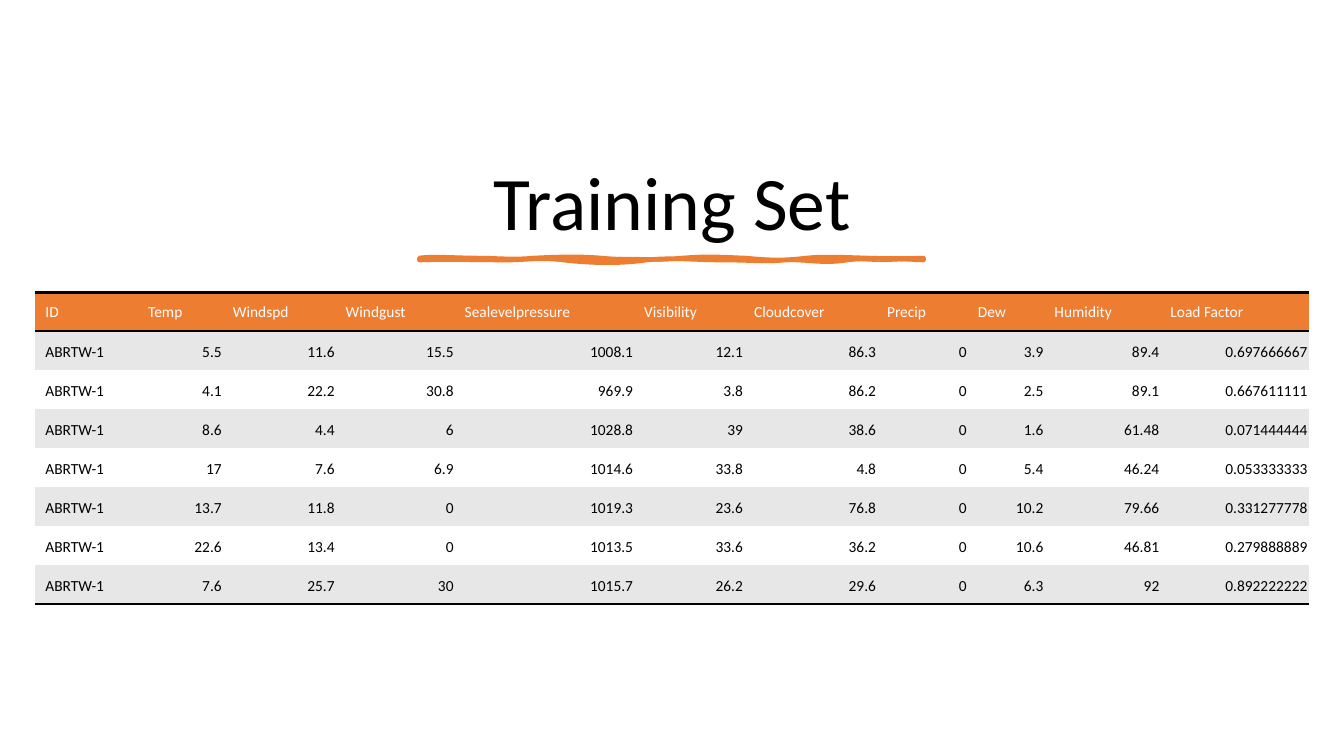
from dataclasses import dataclass

from pptx import Presentation
from pptx.dml.color import RGBColor
from pptx.enum.text import MSO_ANCHOR, PP_ALIGN
from pptx.oxml import parse_xml
from pptx.oxml.ns import nsdecls, qn
from pptx.util import Inches, Pt

LEFT, CENTER, RIGHT = PP_ALIGN.LEFT, PP_ALIGN.CENTER, PP_ALIGN.RIGHT
MIDDLE, BOTTOM = MSO_ANCHOR.MIDDLE, MSO_ANCHOR.BOTTOM
NO_GRID = "{2D5ABB26-0587-4C30-8999-92F81FD0307C}"

TITLE = "Training Set"
HEAD = ("ID", "Temp", "Windspd", "Windgust", "Sealevelpressure", "Visibility",
        "Cloudcover", "Precip", "Dew", "Humidity", "Load Factor")
UNIT = "ABRTW-1"
DATA = (
    ("5.5", "11.6", "15.5", "1008.1", "12.1", "86.3", "0", "3.9", "89.4", "0.697666667"),
    ("4.1", "22.2", "30.8", "969.9", "3.8", "86.2", "0", "2.5", "89.1", "0.667611111"),
    ("8.6", "4.4", "6", "1028.8", "39", "38.6", "0", "1.6", "61.48", "0.071444444"),
    ("17", "7.6", "6.9", "1014.6", "33.8", "4.8", "0", "5.4", "46.24", "0.053333333"),
    ("13.7", "11.8", "0", "1019.3", "23.6", "76.8", "0", "10.2", "79.66", "0.331277778"),
    ("22.6", "13.4", "0", "1013.5", "33.6", "36.2", "0", "10.6", "46.81", "0.279888889"),
    ("7.6", "25.7", "30", "1015.7", "26.2", "29.6", "0", "6.3", "92", "0.892222222"),
)
WIDTHS = (1.02, 0.84, 1.12, 1.18, 1.78, 1.09, 1.32, 0.9, 0.76, 1.15, 1.47)

START = (4.16, 2.56)
RIM = (
    (4.28, 2.54, 4.54, 2.56, 4.73, 2.56), (4.92, 2.56, 5.09, 2.58, 5.29, 2.56),
    (5.49, 2.55, 5.74, 2.54, 5.96, 2.56), (6.17, 2.58, 6.53, 2.58, 6.77, 2.56),
    (7.02, 2.54, 7.14, 2.55, 7.39, 2.56), (7.63, 2.58, 7.74, 2.59, 8, 2.56),
    (8.26, 2.53, 8.67, 2.58, 9.16, 2.56), (9.17, 2.57, 9.16, 2.57, 9.16, 2.58),
    (8.95, 2.57, 8.65, 2.55, 8.4, 2.58), (8.15, 2.62, 8.01, 2.57, 7.79, 2.58),
    (7.56, 2.6, 7.47, 2.58, 7.17, 2.58), (6.87, 2.58, 6.67, 2.55, 6.41, 2.58),
    (6.14, 2.62, 5.85, 2.61, 5.59, 2.58), (5.34, 2.55, 5.23, 2.58, 5.03, 2.58),
    (4.83, 2.58, 4.38, 2.57, 4.16, 2.58), (4.16, 2.58, 4.16, 2.57, 4.16, 2.56),
)
BODY = (
    (4.32, 2.55, 4.52, 2.55, 4.78, 2.56), (5.03, 2.58, 5.08, 2.58, 5.34, 2.56),
    (5.6, 2.54, 5.74, 2.59, 5.96, 2.56), (6.18, 2.54, 6.39, 2.55, 6.67, 2.56),
    (6.95, 2.58, 7.24, 2.54, 7.44, 2.56), (7.63, 2.59, 8.02, 2.55, 8.25, 2.56),
    (8.48, 2.58, 8.72, 2.6, 9.16, 2.56), (9.16, 2.57, 9.16, 2.58, 9.16, 2.58),
    (8.79, 2.6, 8.76, 2.61, 8.4, 2.58), (8.04, 2.56, 7.96, 2.58, 7.59, 2.58),
    (7.21, 2.58, 7.16, 2.54, 6.77, 2.58), (6.39, 2.62, 6.37, 2.57, 6.21, 2.58),
    (6.04, 2.6, 5.72, 2.6, 5.44, 2.58), (5.17, 2.57, 5.04, 2.58, 4.78, 2.58),
    (4.52, 2.59, 4.41, 2.56, 4.16, 2.58), (4.16, 2.58, 4.16, 2.57, 4.16, 2.56),
)


@dataclass(frozen=True)
class Theme:
    font: str = "Calibri"
    ink: str = "000000"
    paper: str = "FFFFFF"
    accent: str = "ED7D31"
    band: str = "E7E7E7"
    title: float = 54
    body: float = 11
    rule: float = 2
    brush: float = 3.25


THEME = Theme()


def paint(fill, color):
    fill.solid()
    fill.fore_color.rgb = RGBColor.from_string(color)


def write(frame, text, size, color, align):
    frame.text = text
    para = frame.paragraphs[0]
    para.alignment = align
    font = para.runs[0].font
    font.name, font.size, font.bold = THEME.font, Pt(size), False
    font.color.rgb = RGBColor.from_string(color)
    return para


def point(x, y):
    dx, dy = Inches(x) - Inches(START[0]), Inches(y) - Inches(START[1])
    return f'<a:pt x="{dx}" y="{dy}"/>'


def outline(curves, shape, flag):
    bends = "".join(
        "<a:cubicBezTo>" + point(a, b) + point(c, d) + point(e, f) + "</a:cubicBezTo>"
        for a, b, c, d, e, f in curves)
    return parse_xml(
        f'<a:path {nsdecls("a")} w="{shape.width}" h="{shape.height}" {flag}>'
        f'<a:moveTo>{point(*START)}</a:moveTo>{bends}<a:close/></a:path>')


def border(cell, sides):
    for spot, side in enumerate(sides):
        cell._tc.get_or_add_tcPr().insert(spot, parse_xml(
            f'<a:{side} {nsdecls("a")} w="{Pt(THEME.rule)}"><a:solidFill>'
            f'<a:srgbClr val="{THEME.ink}"/></a:solidFill></a:{side}>'))


def add_title(slide):
    title = slide.shapes.title
    title.left, title.top = Inches(0.7), Inches(0.5)
    title.width, title.height = Inches(11.93), Inches(2)
    title.text_frame.vertical_anchor = BOTTOM
    para = write(title.text_frame, TITLE, THEME.title, THEME.ink, CENTER)
    para.line_spacing = 0.9


def add_brush(slide):
    pen = slide.shapes.build_freeform(*map(Inches, START))
    pen.add_line_segments([(Inches(c[4]), Inches(c[5])) for c in RIM])
    brush = pen.convert_to_shape()
    brush.shadow.inherit = False
    paths = brush._element.spPr.find(".//" + qn("a:pathLst"))
    paths[:] = [outline(RIM, brush, 'fill="none"'),
                outline(BODY, brush, 'stroke="0"')]
    paint(brush.fill, THEME.accent)
    paint(brush.line.fill, THEME.accent)
    brush.line.width = Pt(THEME.brush)
    line = brush.line._get_or_add_ln()
    line.set("cap", "rnd")
    line.append(parse_xml(f'<a:round {nsdecls("a")}/>'))


def add_grid(slide):
    rows = [HEAD] + [(UNIT,) + row for row in DATA]
    table = slide.shapes.add_table(
        len(rows), len(HEAD), Inches(0.35), Inches(2.9),
        Inches(sum(WIDTHS)), Inches(3.09)).table
    table.horz_banding = False
    table._tbl.tblPr.find(qn("a:tableStyleId")).text = NO_GRID
    for col, width in zip(table.columns, WIDTHS):
        col.width = Inches(width)
    for r, row in enumerate(rows):
        head = r == 0
        fill = THEME.accent if head else THEME.band if r % 2 else THEME.paper
        sides = ("lnT", "lnB") if head else ("lnB",) if r == len(DATA) else ()
        for c, text in enumerate(row):
            cell = table.cell(r, c)
            cell.margin_left, cell.margin_right = Inches(0.1), Inches(0.01)
            cell.margin_top = cell.margin_bottom = Inches(0.08)
            cell.vertical_anchor = MIDDLE if head else BOTTOM
            write(cell.text_frame, text, THEME.body,
                  THEME.paper if head else THEME.ink,
                  LEFT if head or c == 0 else RIGHT)
            paint(cell.fill, fill)
            border(cell, sides)


def main():
    deck = Presentation()
    deck.slide_width, deck.slide_height = Inches(13.33), Inches(7.5)
    slide = deck.slides.add_slide(deck.slide_layouts[5])
    paint(slide.background.fill, THEME.paper)
    add_title(slide)
    add_brush(slide)
    add_grid(slide)
    deck.save("out.pptx")


if __name__ == "__main__":
    main()
